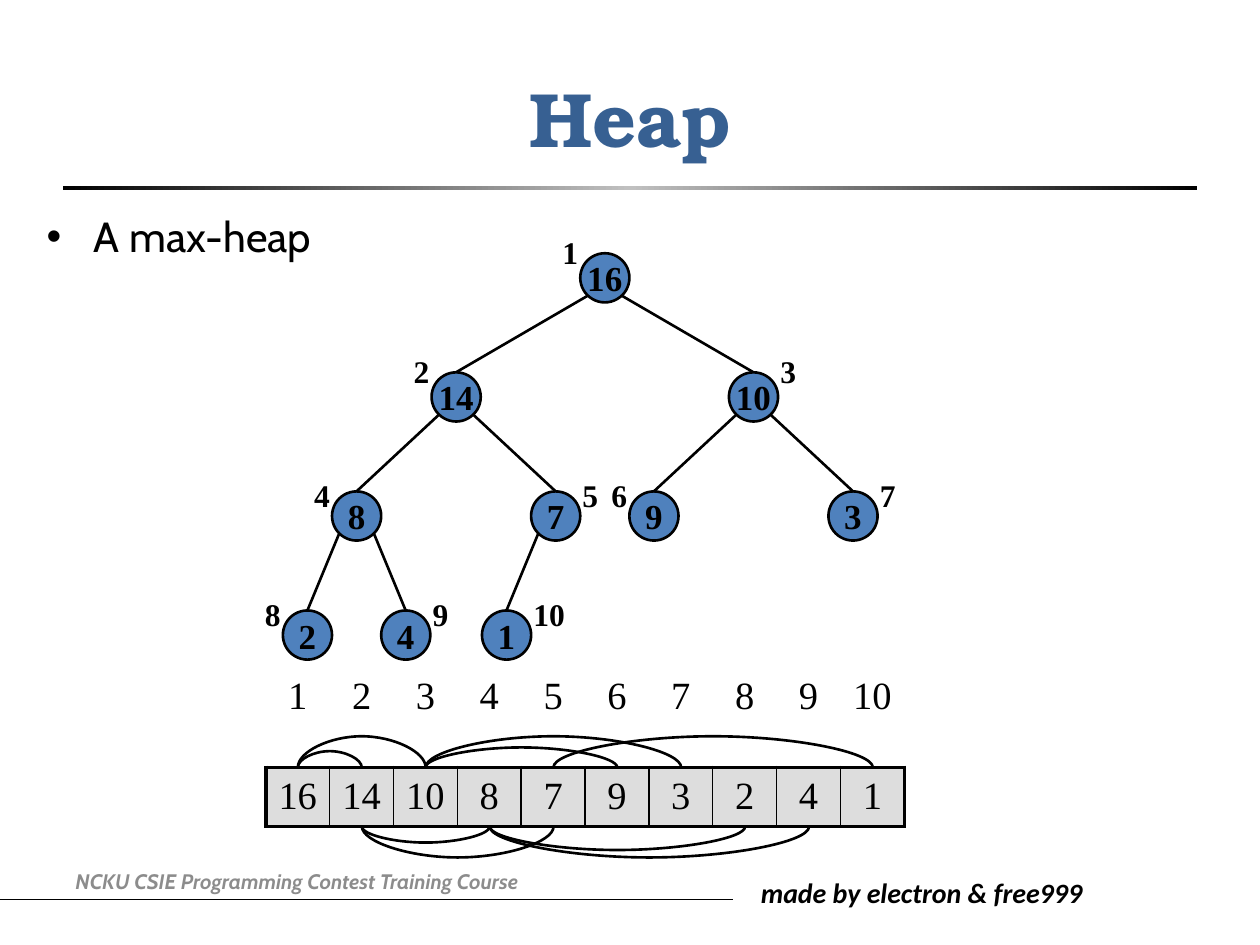
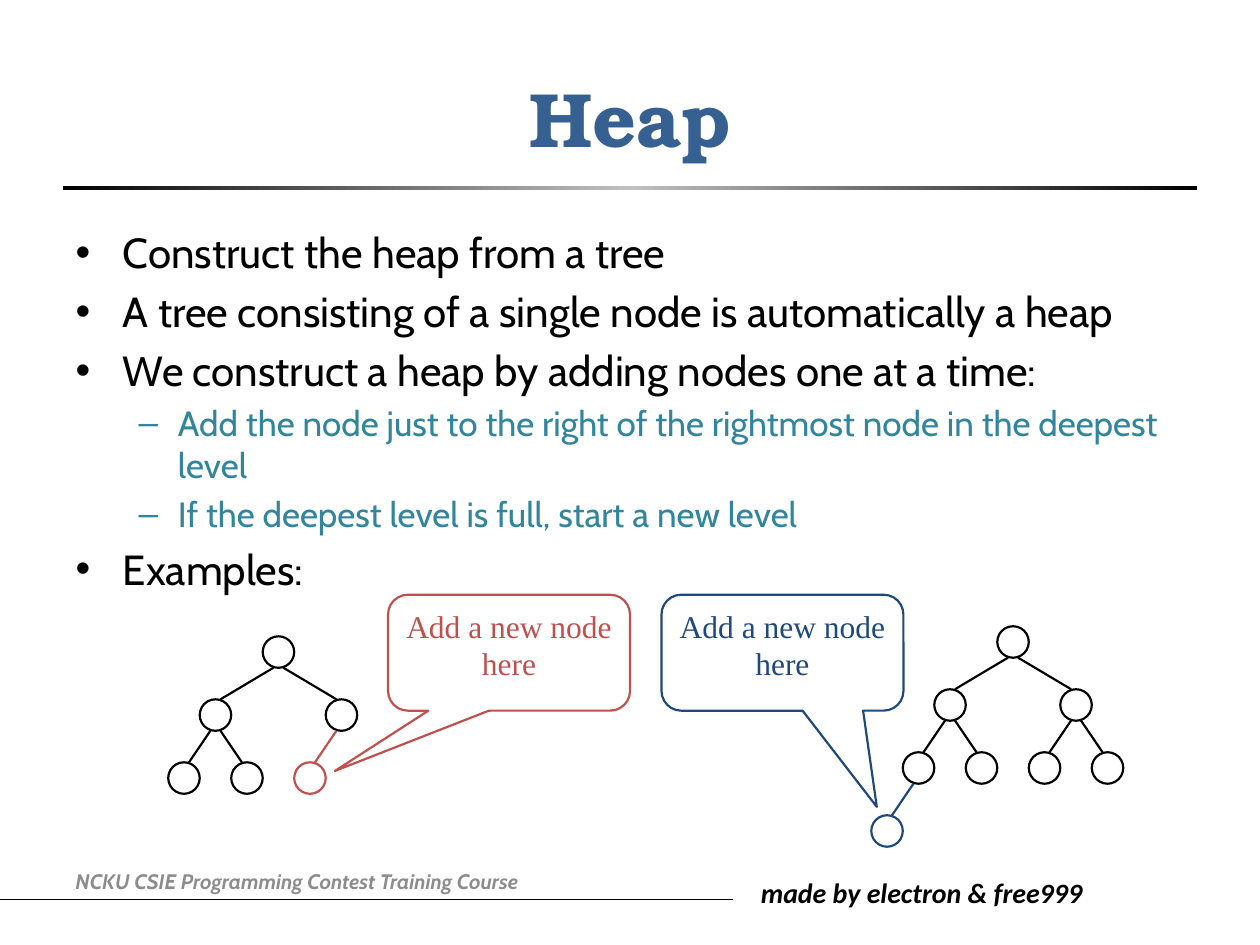
"""Build two slides that show a max-heap and how a heap grows."""
from copy import deepcopy

from lxml import etree
from pptx import Presentation
from pptx.dml.color import RGBColor
from pptx.enum.shapes import MSO_CONNECTOR, MSO_SHAPE
from pptx.enum.text import MSO_ANCHOR, MSO_AUTO_SIZE, PP_ALIGN
from pptx.oxml.ns import qn
from pptx.util import Inches, Pt

BLACK = RGBColor(0, 0, 0)
SILVER = RGBColor(0xC0, 0xC0, 0xC0)
GRAY = RGBColor(0x8C, 0x8C, 0x8C)
PALE = RGBColor(0xDD, 0xDD, 0xDD)
STEEL = RGBColor(0x37, 0x60, 0x92)
BLUE = RGBColor(0x4F, 0x81, 0xBD)
NAVY = RGBColor(0x1F, 0x49, 0x7D)
RED = RGBColor(0xC0, 0x50, 0x4D)
TEAL = RGBColor(0x31, 0x85, 0x9C)

OVAL = MSO_SHAPE.OVAL
RECT = MSO_SHAPE.RECTANGLE
BUBBLE = MSO_SHAPE.ROUNDED_RECTANGULAR_CALLOUT
STRAIGHT = MSO_CONNECTOR.STRAIGHT
CURVE = MSO_CONNECTOR.CURVE
CENTER = PP_ALIGN.CENTER
MIDDLE = MSO_ANCHOR.MIDDLE
TOP = MSO_ANCHOR.TOP
NO_FIT = MSO_AUTO_SIZE.NONE
GROW = MSO_AUTO_SIZE.SHAPE_TO_FIT_TEXT

SERIF = "Times New Roman"
TITLE = dict(name="TeX Gyre Bonum", size=Pt(44), bold=True)
CREDIT = dict(name="Calibri", size=Pt(16), bold=True, italic=True)
COURSE = dict(name="Cabin", size=Pt(12), bold=True, italic=True)
LEVELS = [(dict(name="Cabin", size=Pt(24)), BLACK),
          (dict(name="Cabin", size=Pt(20)), TEAL)]
VALUE = dict(name=SERIF, size=Pt(20), bold=True)
INDEX = dict(name=SERIF, size=Pt(18), bold=True)
CELL = dict(name=SERIF, size=Pt(22))
NOTE = dict(name=SERIF, size=Pt(18))

PLAIN_GRID = "{2D5ABB26-0587-4C30-8999-92F81FD0307C}"
THIN, THICK = Pt(1), Pt(2.25)
HEAP = [16, 14, 10, 8, 7, 9, 3, 2, 4, 1]
BIG = dict(size=0.39, step=0.945, spans=(1.18, 0.79, 0.39),
           start=(0.14, 0.34), end=0, fill=BLUE, weight=1.5)
SMALL = dict(size=0.25, step=0.5, spans=(0.5, 0.25, 0.25),
             start=(0.04, 0.25), end=0.04, fill=None, weight=1.25)


class Deck:
    """Hold the style and the current slide."""

    def __init__(self):
        self.prs = Presentation()
        self.prs.slide_width = Inches(10)
        self.prs.slide_height = Inches(7.5)

    def start(self, title):
        self.slide = self.prs.slides.add_slide(self.prs.slide_layouts[1])
        self.shapes = self.slide.shapes
        self.line((-0.43, 7.14), (5.82, 7.14), BLACK, 0.5)
        self.label("made by electron & free999", (5.94, 6.9, 2.88, 0.37),
                   CREDIT, BLACK, wrap=True)
        self.rule()
        self.place(self.shapes.title, (0.5, 0.3, 9, 1.25))
        self.text(self.shapes.title.text_frame, title, TITLE, STEEL, CENTER)
        self.label("NCKU CSIE Programming Contest Training Course",
                   (0.5, 6.79, 4.66, 0.4), COURSE, GRAY, wrap=True, fit=NO_FIT,
                   anchor=MIDDLE)

    def place(self, shape, box):
        for name, size in zip(("left", "top", "width", "height"), box):
            setattr(shape, name, Inches(size))

    def font(self, run, style, color):
        for name, value in style.items():
            setattr(run.font, name, value)
        run.font.color.rgb = color

    def text(self, frame, words, style, color, align=None):
        par = frame.paragraphs[0]
        par.alignment = align
        run = par.add_run()
        run.text = str(words)
        self.font(run, style, color)

    def label(self, words, box, style, color, wrap=False, fit=GROW, anchor=None):
        frame = self.shapes.add_textbox(*map(Inches, box)).text_frame
        frame.word_wrap = wrap
        frame.auto_size = fit
        frame.vertical_anchor = anchor
        self.text(frame, words, style, color)

    def shape(self, kind, box, fill=None, color=None, weight=1.25):
        item = self.shapes.add_shape(kind, *map(Inches, box))
        item.shadow.inherit = False
        if fill is None:
            item.fill.background()
        else:
            item.fill.solid()
            item.fill.fore_color.rgb = fill
        if color is None:
            item.line.fill.background()
        else:
            item.line.color.rgb = color
            item.line.width = Pt(weight)
        return item

    def rule(self):
        fill = self.shape(RECT, (0.5, 1.48, 9, 0.03)).fill
        fill.gradient()
        fill.gradient_angle = 0
        first = fill.gradient_stops[0]._gs
        first.addnext(deepcopy(first))
        for stop, place, color in zip(fill.gradient_stops, (0, 0.5, 1),
                                      (BLACK, SILVER, BLACK)):
            stop.position = place
            stop.color.rgb = color

    def line(self, head, tail, color, weight, kind=STRAIGHT):
        item = self.shapes.add_connector(kind, *map(Inches, head + tail))
        item.line.color.rgb = color
        item.line.width = Pt(weight)
        etree.SubElement(item._element.spPr, qn("a:effectLst"))
        return item

    def arc(self, left, right, y, depth, above):
        mid, half, thin = (left + right) / 2, (right - left) / 2, 0.002
        item = self.line((mid, y - half), (mid + thin, y + half),
                         BLACK, 1.5, CURVE)
        props = item._element.spPr
        frame = props.find(qn("a:xfrm"))
        frame.set("rot", "5400000" if above else "16200000")
        frame.set("flipV" if above else "flipH", "1")
        bend = round((-depth if above else depth) / thin * 100000)
        guides = props.find(qn("a:prstGeom")).find(qn("a:avLst"))
        etree.SubElement(guides, qn("a:gd"), name="adj1", fmla=f"val {bend}")

    def bullets(self, box, items):
        body = self.slide.placeholders[1]
        self.place(body, box)
        frame = body.text_frame
        frame.auto_size = NO_FIT
        for num, (level, words) in enumerate(items):
            par = frame.add_paragraph() if num else frame.paragraphs[0]
            par.level = level
            run = par.add_run()
            run.text = words
            self.font(run, *LEVELS[level])

    def tree(self, x, top, count, look, marks=None):
        """Draw a heap-shaped tree and return the corner of each node."""
        spots, size = {1: (x, top)}, look["size"]
        for num in range(1, count + 1):
            color = (marks or {}).get(num, BLACK)
            if num > 1:
                px, py = spots[num // 2]
                side = 1 if num % 2 else -1
                cx = px + side * look["spans"][num.bit_length() - 2]
                cy = py + look["step"]
                spots[num] = cx, cy
                dx, dy = look["start"]
                self.line((px + side * dx, py + dy),
                          (cx - side * look["end"], cy), color, look["weight"])
            cx, cy = spots[num]
            node = self.shape(OVAL, (cx - size / 2, cy, size, size),
                              look["fill"], color, look["weight"])
            if look is BIG:
                frame = node.text_frame
                frame.word_wrap = False
                frame.vertical_anchor = MIDDLE
                self.text(frame, HEAP[num - 1], VALUE, BLACK, CENTER)
        return {num: (cx - size / 2, cy) for num, (cx, cy) in spots.items()}

    def border(self, cell, **sides):
        props = cell._tc.get_or_add_tcPr()
        for side in "LRTB":
            if side in sides:
                edge = etree.SubElement(props, qn("a:ln" + side),
                                        w=str(int(sides[side])))
                fill = etree.SubElement(edge, qn("a:solidFill"))
                etree.SubElement(fill, qn("a:srgbClr"), val=str(BLACK))

    def table(self, x, y, wide, rows):
        count = len(HEAP)
        grid = self.shapes.add_table(
            len(rows), count, *map(Inches, (x, y, wide * count, sum(rows)))).table
        grid.first_row = grid.horz_banding = False
        grid._tbl.tblPr.find(qn("a:tableStyleId")).text = PLAIN_GRID
        for row, high in zip(grid.rows, rows):
            row.height = Inches(high)
        for col, value in enumerate(HEAP):
            grid.columns[col].width = Inches(wide)
            name, gap, slot = (grid.cell(row, col) for row in range(3))
            self.border(gap, B=THICK)
            self.border(slot, L=THIN if col else THICK, T=THICK, B=THICK,
                        R=THIN if col < count - 1 else THICK)
            end = gap.text_frame.paragraphs[0]._p.get_or_add_endParaRPr()
            end.set("sz", "1200")
            for cell, words in ((name, col + 1), (slot, value)):
                cell.margin_left = cell.margin_right = Inches(0.05)
                cell.vertical_anchor = MIDDLE
                self.text(cell.text_frame, words, CELL, BLACK, CENTER)
            name.fill.background()
            gap.fill.background()
            slot.fill.solid()
            slot.fill.fore_color.rgb = PALE

    def bubble(self, x, tip, color):
        item = self.shape(BUBBLE, (x, 4.72, 1.92, 0.92), color=color)
        for num, value in enumerate(tip + (0.17,)):
            item.adjustments[num] = value
        item.text_frame.vertical_anchor = TOP
        self.text(item.text_frame, "Add a new node here", NOTE, color, CENTER)


def sample(deck):
    """Draw the max-heap as a tree and as an array."""
    deck.start("Heap")
    deck.bullets((0.27, 1.62, 9.53, 5.59), [(0, "A max-heap")])
    spots = deck.tree(4.8, 2.01, len(HEAP), BIG)
    for num, (x, y) in spots.items():
        dx = 0.31 if num in (3, 5, 7, 9, 10) else -0.24
        dy = -0.21 if num < 4 else -0.17
        deck.label(num, (x + dx, y + dy, 0.45 if num > 9 else 0.33, 0.4),
                   INDEX, BLACK)
    left, top, wide, rows = 2.11, 5.29, 0.507, (0.47, 0.33, 0.47)
    deck.table(left, top, wide, rows)
    upper = [(1, 2, 0.13), (1, 3, 0.25), (3, 6, 0.16), (3, 7, 0.25), (5, 10, 0.25)]
    lower = [(2, 4, 0.13), (2, 5, 0.25), (4, 8, 0.19), (4, 9, 0.25)]
    for arcs, y, above in ((upper, top + sum(rows[:2]), True),
                           (lower, top + sum(rows), False)):
        for head, tail, depth in arcs:
            deck.arc(left + wide * (head - 0.5), left + wide * (tail - 0.5),
                     y, depth, above)


def growth(deck):
    """Show where a new node joins a heap."""
    deck.start("Heap")
    deck.bullets((0.5, 1.75, 9, 4.95), [
        (0, "Construct the heap from a tree"),
        (0, "A tree consisting of a single node is automatically a heap"),
        (0, "We construct a heap by adding nodes one at a time:"),
        (1, "Add the node just to the right of the rightmost node in the "
            "deepest level"),
        (1, "If the deepest level is full, start a new level"),
        (0, "Examples:")])
    deck.tree(8.04, 4.97, 8, SMALL, {8: NAVY})
    deck.tree(2.21, 5.05, 6, SMALL, {6: RED})
    deck.bubble(3.08, (-0.72, 1.02), RED)
    deck.bubble(5.25, (0.39, 1.33), NAVY)


def main():
    """Build and save the deck."""
    deck = Deck()
    sample(deck)
    growth(deck)
    deck.prs.save("out.pptx")


if __name__ == "__main__":
    main()
